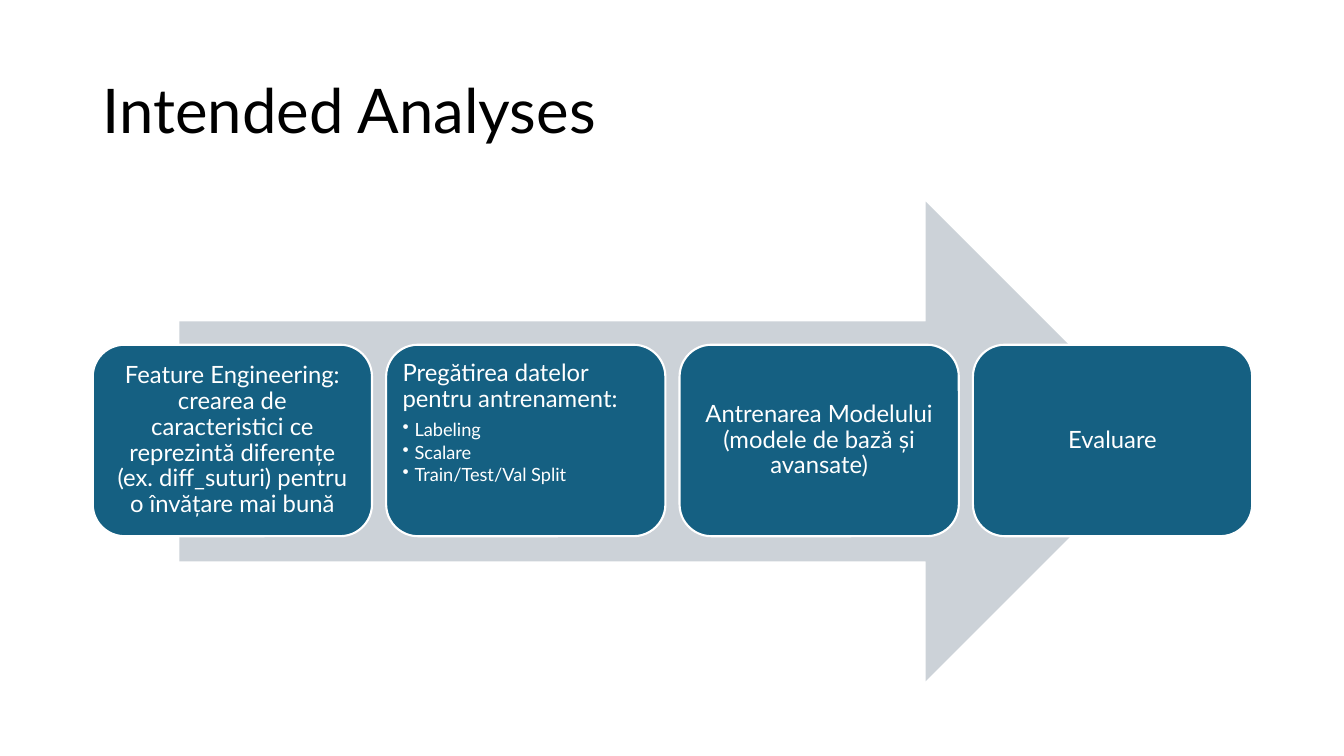
"""Build the Intended Analyses slide: four process steps over a wide arrow."""
from pptx import Presentation, util as u
from pptx.dml.color import RGBColor
from pptx.enum import shapes, text
from pptx.oxml.xmlchemy import OxmlElement

TITLE = "Intended Analyses"
STEPS = [
    ("Feature Engineering: crearea de caracteristici ce reprezintă diferențe "
     "(ex. diff_suturi) pentru o învățare mai bună", []),
    ("Pregătirea datelor pentru antrenament:",
     ["Labeling", "Scalare", "Train/Test/Val Split"]),
    ("Antrenarea Modelului (modele de bază și avansate)", []),
    ("Evaluare", []),
]

FONT = "Lato"
BLACK = RGBColor(0x00, 0x00, 0x00)
WHITE = RGBColor(0xFF, 0xFF, 0xFF)
TEAL = RGBColor(0x15, 0x60, 0x82)
GREY = RGBColor(0xCC, 0xD2, 0xD8)

PX = u.Inches(1) // 100
SLIDE = (1333, 750)
TITLE_BOX = (92, 40, 1150, 145)
ARROW_BOX = (178, 200, 978, 476)
STEP_LEFT, STEP_TOP, STEP_WIDTH, STEP_HEIGHT = 92, 342, 277, 190
STEP_PITCH = 291
INSET, INDENT = 7, 12


def emu(lengths):
    return [length * PX for length in lengths]


def apply(target, **values):
    for name, value in values.items():
        setattr(target, name, value)


def add_shape(page, kind, place, color):
    shape = page.shapes.add_shape(kind, *emu(place))
    shape.shadow.inherit = False
    shape.fill.solid()
    shape.fill.fore_color.rgb = color
    shape.line.fill.background()
    return shape


def write(para, words, size, color, align=text.PP_ALIGN.LEFT, after=0):
    apply(para, alignment=align, line_spacing=0.9, space_after=u.Pt(after))
    span = para.add_run()
    apply(span, text=words)
    apply(span.font, name=FONT, size=u.Pt(size))
    span.font.color.rgb = color


def add_bullet(para):
    properties = para._p.get_or_add_pPr()
    properties.set("marL", str(INDENT * PX))
    properties.set("indent", str(-INDENT * PX))
    bullet = OxmlElement("a:buChar")
    bullet.set("char", "•")
    properties.append(bullet)


def add_title(page):
    frame = page.shapes.add_textbox(*emu(TITLE_BOX)).text_frame
    apply(frame, word_wrap=True, vertical_anchor=text.MSO_ANCHOR.MIDDLE)
    write(frame.paragraphs[0], TITLE, 44, BLACK)


def add_step(page, index, heading, bullets):
    place = (STEP_LEFT + index * STEP_PITCH, STEP_TOP, STEP_WIDTH, STEP_HEIGHT)
    box = add_shape(page, shapes.MSO_SHAPE.ROUNDED_RECTANGLE, place, TEAL)
    box.line.color.rgb = WHITE
    box.line.width = u.Pt(1.5)
    frame = box.text_frame
    anchor = text.MSO_ANCHOR.TOP if bullets else text.MSO_ANCHOR.MIDDLE
    align = text.PP_ALIGN.LEFT if bullets else text.PP_ALIGN.CENTER
    apply(frame, word_wrap=True, vertical_anchor=anchor)
    for side in ("left", "top", "right", "bottom"):
        setattr(frame, f"margin_{side}", INSET * PX)
    write(frame.paragraphs[0], heading, 17, WHITE, align, after=6)
    for words in bullets:
        para = frame.add_paragraph()
        para.level = 1
        write(para, words, 13, WHITE, after=2)
        add_bullet(para)


def main():
    deck = Presentation()
    deck.slide_width, deck.slide_height = emu(SLIDE)
    page = deck.slides.add_slide(deck.slide_layouts[6])
    add_title(page)
    add_shape(page, shapes.MSO_SHAPE.RIGHT_ARROW, ARROW_BOX, GREY)
    for index, (heading, bullets) in enumerate(STEPS):
        add_step(page, index, heading, bullets)
    deck.save("out.pptx")


if __name__ == "__main__":
    main()
